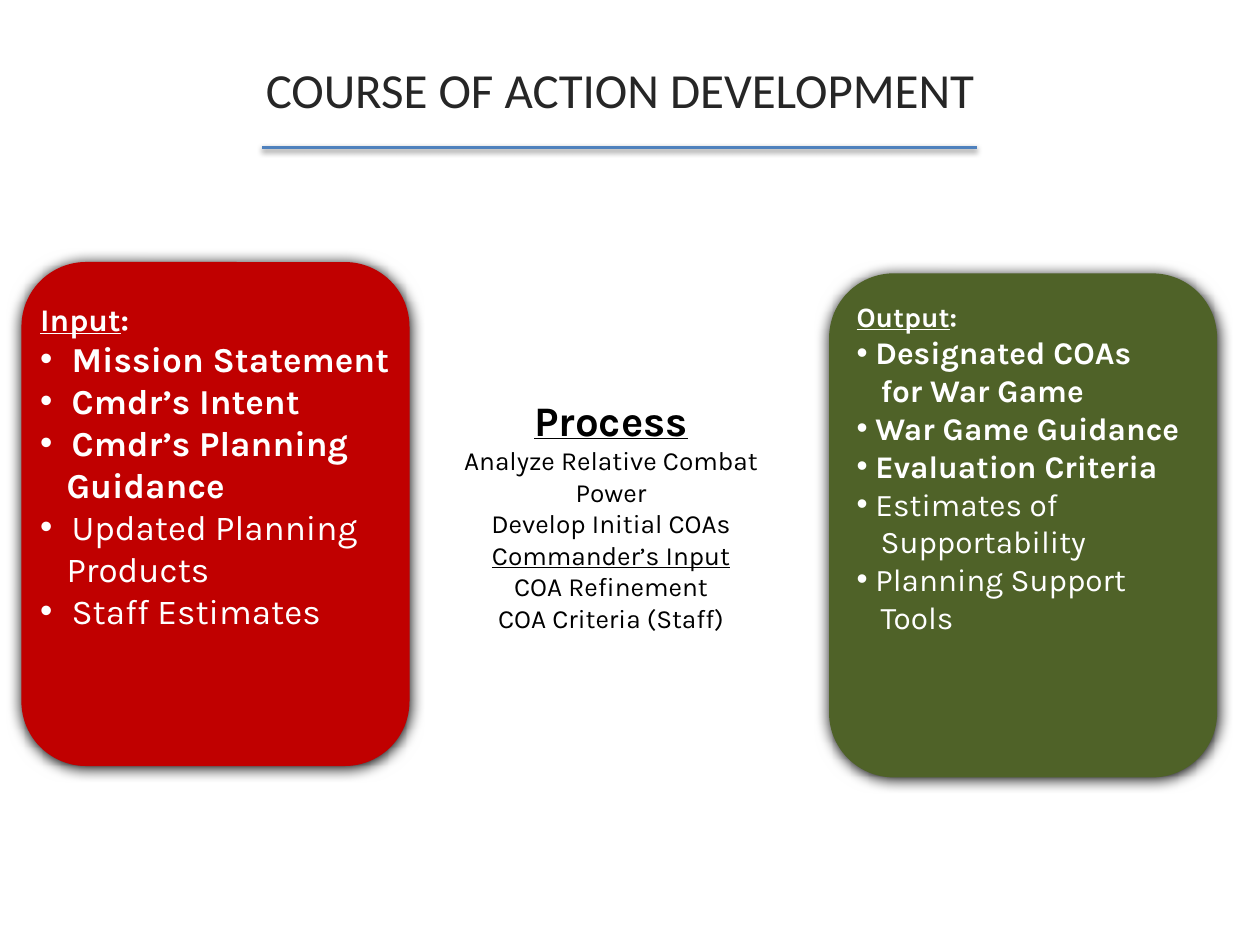
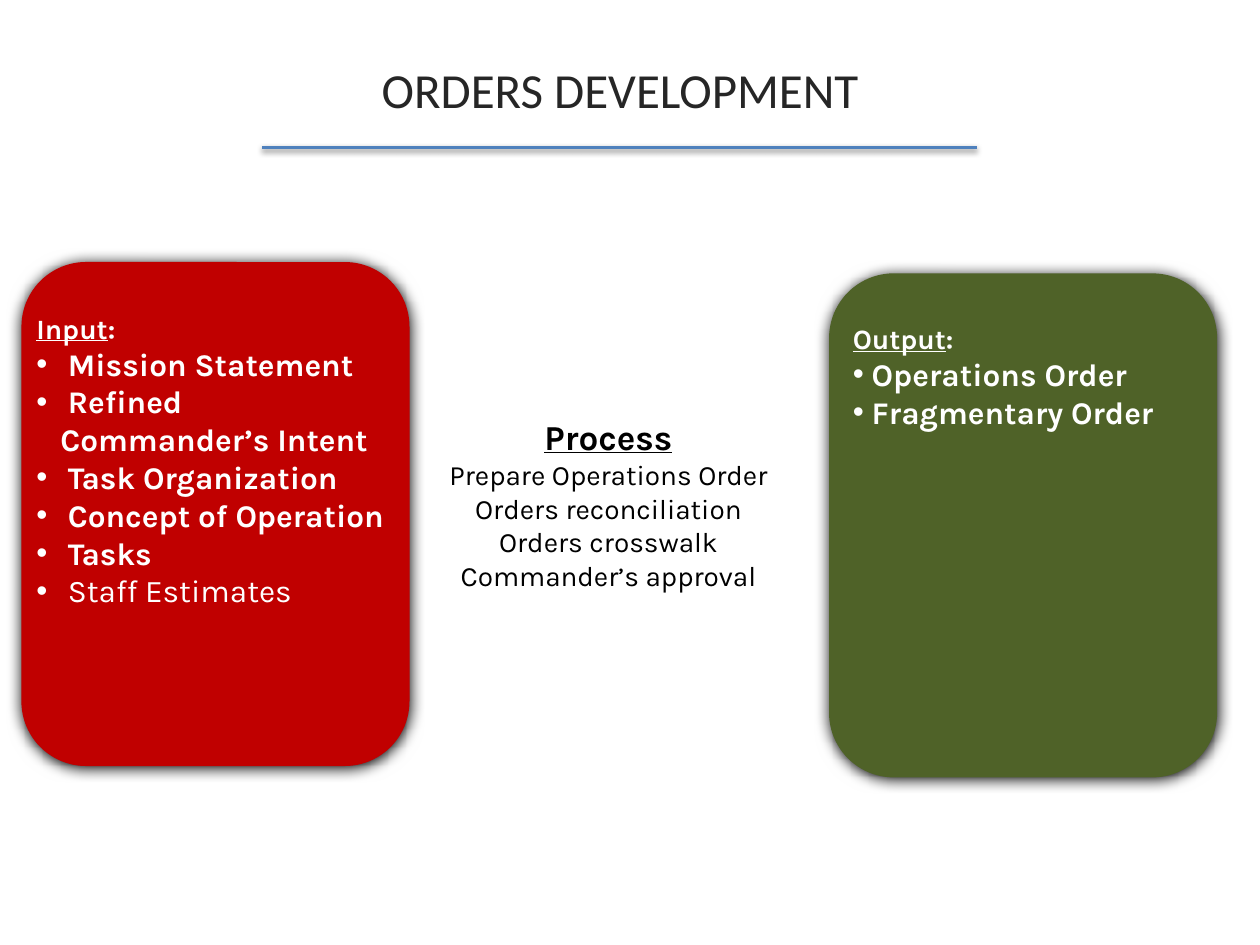
from dataclasses import dataclass
from typing import NamedTuple

from lxml import etree
from pptx import Presentation
from pptx.dml.color import RGBColor
from pptx.enum.shapes import MSO_CONNECTOR, MSO_SHAPE
from pptx.enum.text import MSO_ANCHOR, MSO_AUTO_SIZE, PP_ALIGN
from pptx.oxml.ns import qn
from pptx.util import Emu, Pt

EMU_PER_PX = 9144  # 100 px to the inch
TITLE_ONLY = 5
ROUNDED = MSO_SHAPE.ROUNDED_RECTANGLE
STRAIGHT = MSO_CONNECTOR.STRAIGHT
LEFT, CENTER = PP_ALIGN.LEFT, PP_ALIGN.CENTER
MIDDLE, TOP = MSO_ANCHOR.MIDDLE, MSO_ANCHOR.TOP
FIXED, GROW = MSO_AUTO_SIZE.NONE, MSO_AUTO_SIZE.SHAPE_TO_FIT_TEXT


class Box(NamedTuple):
    left: int
    top: int
    width: int
    height: int


class Shadow(NamedTuple):
    """Downward black shadow: lengths in points, opacity in percent."""
    blur: float
    distance: float
    opacity: int


@dataclass(frozen=True)
class Theme:
    title_font: str = "Calibri"
    body_font: str = "Karla"
    title_size: int = 28
    rule_width: int = 2
    title_color: str = "262626"
    rule_color: str = "4F81BD"
    input_color: str = "C00000"
    output_color: str = "4F6228"
    on_panel: str = "FFFFFF"
    on_page: str = "000000"
    panel_shadow: Shadow = Shadow(8.5, 1, 100)
    rule_shadow: Shadow = Shadow(3.1, 1.6, 38)


class Line(NamedTuple):
    """One line of a list; a continued line carries no bullet."""
    text: str
    bold: bool = False
    underline: bool = False
    continued: bool = False


class ListStyle(NamedTuple):
    heading_size: int
    line_size: int
    color: str
    align: PP_ALIGN = LEFT
    hanging: int = 0
    continued_indent: int = 0


class TextList(NamedTuple):
    box: Box
    heading: str
    suffix: str
    style: ListStyle
    lines: list[Line]


class Stage(NamedTuple):
    title: str
    lists: list[TextList]


THEME = Theme()
TITLE_BOX = Box(42, 8, 900, 125)
RULE = Box(208, 117, 567, 0)
PANELS = [
    (Box(658, 217, 308, 400), THEME.output_color),
    (Box(17, 208, 308, 400), THEME.input_color),
]
OUTPUT_STYLE = ListStyle(16, 18, THEME.on_panel, LEFT, 15, 19)

STAGES = [
    Stage("COURSE OF ACTION DEVELOPMENT", [
        TextList(Box(670, 233, 296, 279), "Output", ":", OUTPUT_STYLE, [
            Line("Designated COAs", bold=True),
            Line("for War Game", bold=True, continued=True),
            Line("War Game Guidance", bold=True),
            Line("Evaluation Criteria", bold=True),
            Line("Estimates of"),
            Line("Supportability", continued=True),
            Line("Planning Support"),
            Line("Tools", continued=True),
        ]),
        TextList(Box(335, 308, 300, 303), "Process", "",
                 ListStyle(24, 15, THEME.on_page, CENTER), [
            Line("Analyze Relative Combat Power"),
            Line("Develop Initial COAs"),
            Line("Commander’s Input", underline=True),
            Line("COA Refinement"),
            Line("COA Criteria (Staff)"),
        ]),
        TextList(Box(22, 233, 307, 286), "Input", ":",
                 ListStyle(18, 20, THEME.on_panel, LEFT, 25, 21), [
            Line("Mission Statement", bold=True),
            Line("Cmdr’s Intent", bold=True),
            Line("Cmdr’s Planning", bold=True),
            Line("Guidance", bold=True, continued=True),
            Line("Updated Planning"),
            Line("Products", continued=True),
            Line("Staff Estimates"),
        ]),
    ]),
    Stage("ORDERS DEVELOPMENT", [
        TextList(Box(667, 250, 281, 98), "Output", ":", OUTPUT_STYLE, [
            Line("Operations Order", bold=True),
            Line("Fragmentary Order", bold=True),
        ]),
        TextList(Box(333, 325, 300, 151), "Process", "",
                 ListStyle(20, 16, THEME.on_page, CENTER), [
            Line("Prepare Operations Order"),
            Line("Orders reconciliation"),
            Line("Orders crosswalk"),
            Line("Commander’s approval"),
        ]),
        TextList(Box(19, 242, 362, 283), "Input", ":",
                 ListStyle(16, 18, THEME.on_panel, LEFT, 25, 19), [
            Line("Mission Statement", bold=True),
            Line("Refined", bold=True),
            Line("Commander’s Intent", bold=True, continued=True),
            Line("Task Organization", bold=True),
            Line("Concept of Operation", bold=True),
            Line("Tasks", bold=True),
            Line("Staff Estimates"),
        ]),
    ]),
]


def px(length: int) -> Emu:
    return Emu(length * EMU_PER_PX)


def emu(box: Box) -> list[Emu]:
    return [px(length) for length in box]


def add_shadow(shape, shadow: Shadow) -> None:
    effects = etree.SubElement(shape._element.spPr, qn("a:effectLst"))
    outer = etree.SubElement(
        effects, qn("a:outerShdw"), blurRad=str(Pt(shadow.blur)),
        dist=str(Pt(shadow.distance)), dir="5400000", rotWithShape="0")
    color = etree.SubElement(outer, qn("a:srgbClr"), val="000000")
    etree.SubElement(color, qn("a:alpha"), val=str(shadow.opacity * 1000))


def add_run(paragraph, text: str, font_name: str, size: int, color: str,
            bold: bool = False, underline: bool = False) -> None:
    run = paragraph.add_run()
    run.text = text
    font = run.font
    font.name, font.size = font_name, Pt(size)
    font.bold, font.underline = bold, underline
    font.color.rgb = RGBColor.from_string(color)


def indent(paragraph, line: Line, style: ListStyle) -> None:
    """Hang a bulleted line, or shift a continued one to the right."""
    properties = paragraph._p.get_or_add_pPr()
    if line.continued:
        properties.set("marL", str(px(style.continued_indent)))
    elif style.hanging:
        properties.set("marL", str(px(style.hanging)))
        properties.set("indent", str(px(-style.hanging)))
        etree.SubElement(properties, qn("a:buFont"), typeface="Arial")
        etree.SubElement(properties, qn("a:buChar"), char="•")


def add_title(slide, text: str) -> None:
    title = slide.shapes.title
    title.left, title.top, title.width, title.height = emu(TITLE_BOX)
    frame = title.text_frame
    frame.auto_size, frame.vertical_anchor = FIXED, MIDDLE
    paragraph = frame.paragraphs[0]
    paragraph.alignment = CENTER
    add_run(paragraph, text, THEME.title_font, THEME.title_size, THEME.title_color)


def add_rule(slide) -> None:
    left, top, width, _ = emu(RULE)
    rule = slide.shapes.add_connector(STRAIGHT, left, top, left + width, top)
    rule.line.color.rgb = RGBColor.from_string(THEME.rule_color)
    rule.line.width = Pt(THEME.rule_width)
    add_shadow(rule, THEME.rule_shadow)


def add_panel(slide, box: Box, color: str) -> None:
    panel = slide.shapes.add_shape(ROUNDED, *emu(box))
    panel.fill.solid()
    panel.fill.fore_color.rgb = RGBColor.from_string(color)
    panel.line.fill.background()
    add_shadow(panel, THEME.panel_shadow)


def add_text_list(slide, text_list: TextList) -> None:
    style = text_list.style
    frame = slide.shapes.add_textbox(*emu(text_list.box)).text_frame
    frame.word_wrap, frame.auto_size, frame.vertical_anchor = True, GROW, TOP
    heading = frame.paragraphs[0]
    heading.alignment = style.align
    add_run(heading, text_list.heading, THEME.body_font, style.heading_size,
            style.color, bold=True, underline=True)
    if text_list.suffix:
        add_run(heading, text_list.suffix, THEME.body_font, style.heading_size,
                style.color, bold=True)
    for line in text_list.lines:
        paragraph = frame.add_paragraph()
        paragraph.alignment = style.align
        indent(paragraph, line, style)
        add_run(paragraph, line.text, THEME.body_font, style.line_size,
                style.color, line.bold, line.underline)


def add_stage(presentation, stage: Stage) -> None:
    slide = presentation.slides.add_slide(presentation.slide_layouts[TITLE_ONLY])
    for box, color in PANELS:
        add_panel(slide, box, color)
    for text_list in stage.lists:
        add_text_list(slide, text_list)
    add_title(slide, stage.title)
    add_rule(slide)


def main() -> None:
    presentation = Presentation()
    presentation.slide_width, presentation.slide_height = px(1000), px(750)
    for stage in STAGES:
        add_stage(presentation, stage)
    presentation.save("out.pptx")


if __name__ == "__main__":
    main()
